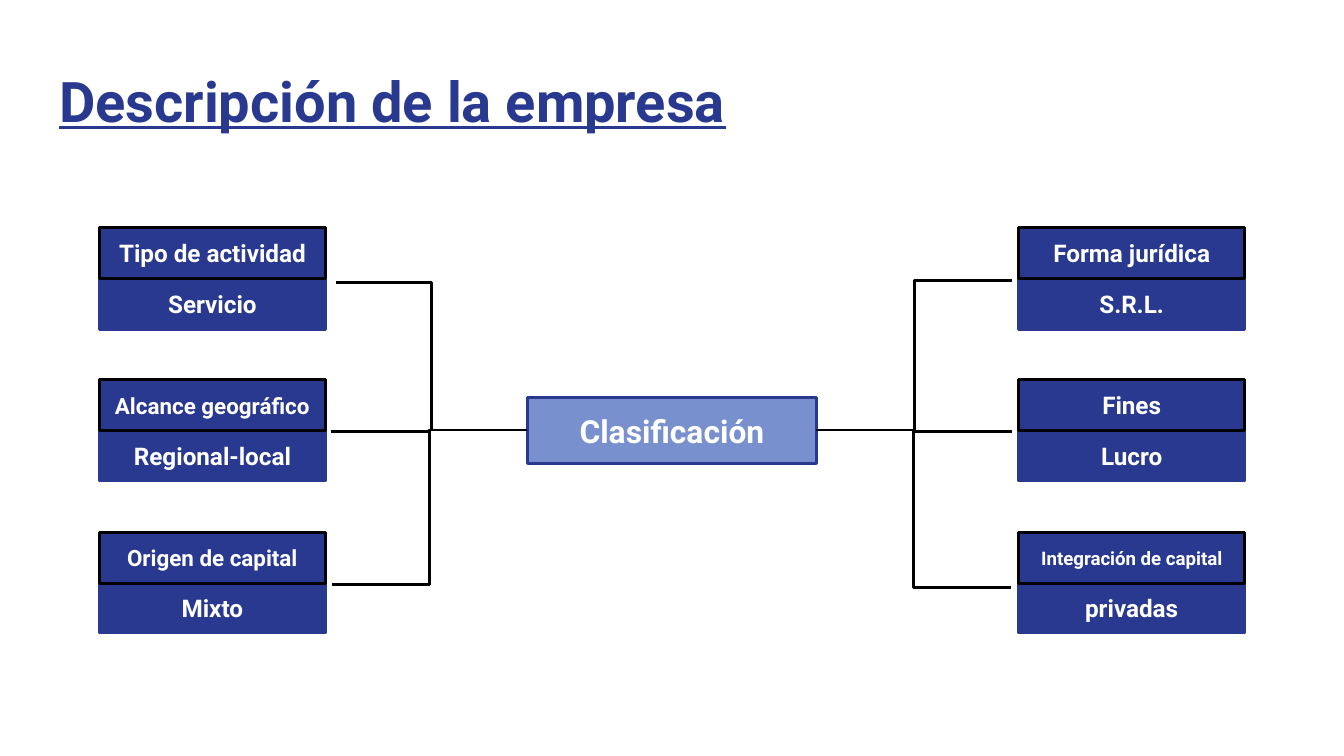
"""Build a slide that classifies a company around a central box."""
import dataclasses

import lxml.etree
import pptx
import pptx.dml.color
import pptx.enum.shapes
import pptx.enum.text
import pptx.oxml.ns
import pptx.util

Inches = pptx.util.Inches
ANCHOR = pptx.enum.text.MSO_ANCHOR
ALIGN = pptx.enum.text.PP_ALIGN
SLIDE_WIDTH = 10
SLIDE_HEIGHT = SLIDE_WIDTH * 9 / 16


@dataclasses.dataclass(frozen=True)
class Theme:
    font: str = "Roboto"
    navy: str = "2A3990"
    light: str = "7890CD"
    white: str = "FFFFFF"
    black: str = "000000"
    title_size: int = 30
    center_size: int = 17
    box_size: int = 13
    medium_size: int = 12
    small_size: int = 10
    line_width: float = 1.5


def rgb(value):
    return pptx.dml.color.RGBColor.from_string(value)


def write(tf, text, *, font, size, color, align, anchor, underline=None, spacing=None):
    tf.word_wrap = True
    tf.auto_size = pptx.enum.text.MSO_AUTO_SIZE.NONE
    tf.vertical_anchor = anchor
    tf.margin_left = tf.margin_right = tf.margin_top = tf.margin_bottom = Inches(0.1)
    p = tf.paragraphs[0]
    p.alignment = align
    p.line_spacing = spacing
    r = p.add_run()
    r.text = text
    r.font.name = font
    r.font.size = pptx.util.Pt(size)
    r.font.bold = True
    r.font.underline = underline
    r.font.color.rgb = rgb(color)


class Deck:
    def __init__(self, theme, slide):
        self.theme = theme
        self.s = slide

    def title(self, text, left, top, width, height):
        sp = self.s.shapes.title
        sp.left, sp.top = Inches(left), Inches(top)
        sp.width, sp.height = Inches(width), Inches(height)
        write(sp.text_frame, text, font=self.theme.font, size=self.theme.title_size,
              color=self.theme.navy, align=ALIGN.LEFT, anchor=ANCHOR.TOP,
              underline=True, spacing=0.9)

    def box(self, text, left, top, width, height, *, fill, line, size):
        sp = self.s.shapes.add_shape(
            pptx.enum.shapes.MSO_SHAPE.RECTANGLE,
            Inches(left), Inches(top), Inches(width), Inches(height))
        sp.shadow.inherit = False
        sp.fill.solid()
        sp.fill.fore_color.rgb = rgb(fill)
        sp.line.color.rgb = rgb(line)
        sp.line.width = pptx.util.Pt(self.theme.line_width)
        write(sp.text_frame, text, font=self.theme.font, size=size,
              color=self.theme.white, align=ALIGN.CENTER, anchor=ANCHOR.MIDDLE)

    def pair(self, header, value, left, row, header_size):
        t = self.theme
        self.box(value, left, 2.07 + 1.13 * row, 1.68, 0.38,
                 fill=t.navy, line=t.navy, size=t.box_size)
        self.box(header, left, 1.69 + (3.96 - 1.69) / 2 * row, 1.68, 0.38,
                 fill=t.navy, line=t.black, size=header_size)

    def elbow(self, x1, y1, x2, y2):
        c = self.s.shapes.add_connector(
            pptx.enum.shapes.MSO_CONNECTOR.ELBOW,
            Inches(x1), Inches(y1), Inches(x2), Inches(y2))
        c.line.color.rgb = rgb(self.theme.black)
        c.line.width = pptx.util.Pt(self.theme.line_width)
        lxml.etree.SubElement(c._element.spPr, pptx.oxml.ns.qn("a:effectLst"))


def main():
    prs = pptx.Presentation()
    prs.slide_width, prs.slide_height = Inches(SLIDE_WIDTH), Inches(SLIDE_HEIGHT)
    theme = Theme()
    deck = Deck(theme, prs.slides.add_slide(prs.slide_layouts[5]))
    deck.title("Descripción de la empresa", 0.34, 0.45, 9.32, 0.66)

    center_width = 2.15
    center_left = (SLIDE_WIDTH - center_width) / 2
    center_right = center_left + center_width
    deck.box("Clasificación", center_left, 2.96, center_width, 0.49,
             fill=theme.light, line=theme.navy, size=theme.center_size)

    sides = [
        (0.74, center_left, [
            ("Tipo de actividad", "Servicio", theme.box_size, (2.5, 2.1)),
            ("Alcance geográfico", "Regional-local", theme.medium_size, (2.46, 3.21)),
            ("Origen de capital", "Mixto", theme.medium_size, (2.47, 4.35)),
        ]),
        (7.58, center_right, [
            ("Forma jurídica", "S.R.L.", theme.box_size, (7.53, 2.09)),
            ("Fines", "Lucro", theme.box_size, (7.53, 3.21)),
            ("Integración de capital", "privadas", theme.small_size, (7.52, 4.37)),
        ]),
    ]
    for left, edge, rows in sides:
        for row, (header, value, size, end) in enumerate(rows):
            deck.pair(header, value, left, row, size)
            deck.elbow(edge, 3.2, *end)

    prs.save("out.pptx")


if __name__ == "__main__":
    main()
